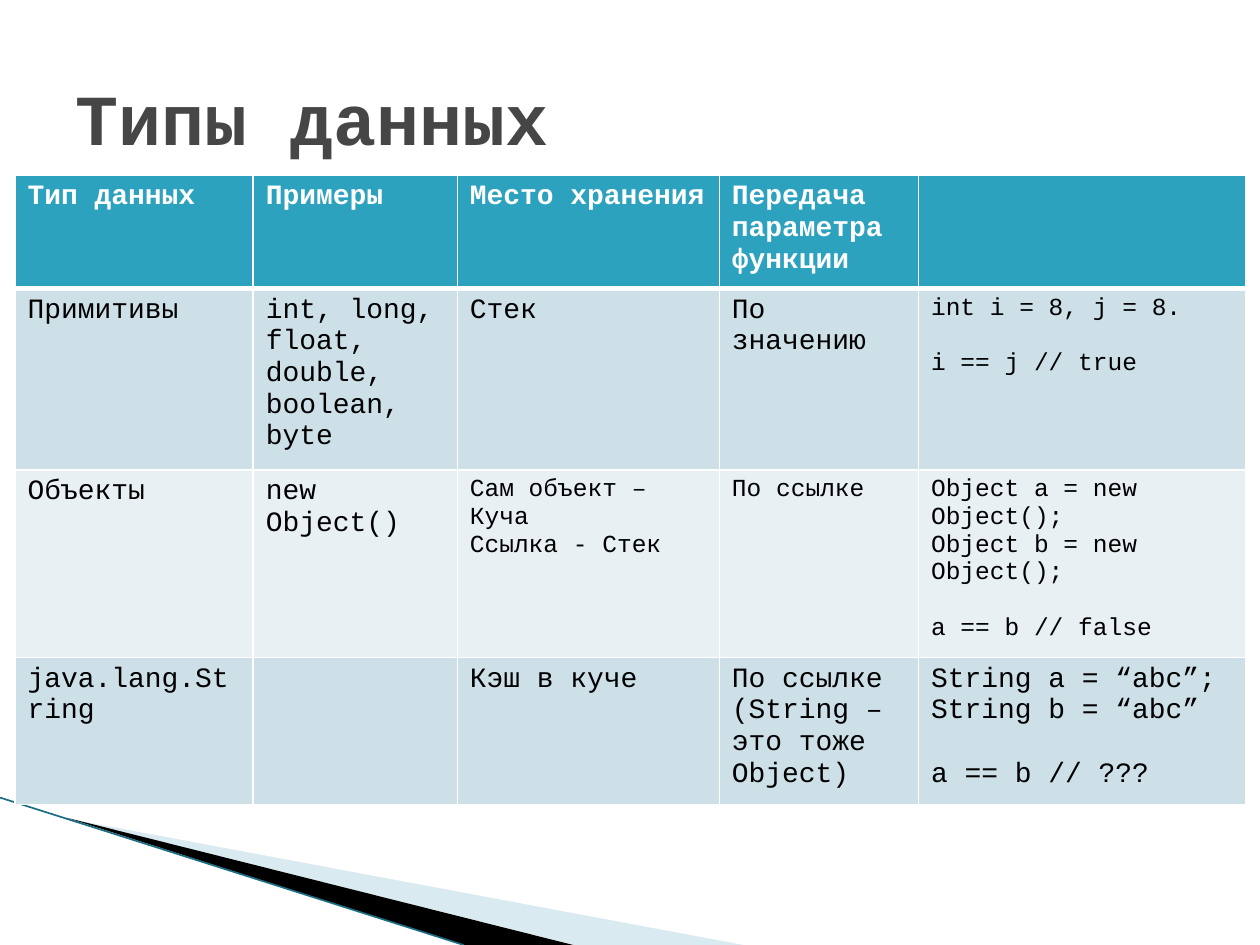
from dataclasses import dataclass

from lxml import etree
from pptx import Presentation
from pptx import util as u
from pptx.dml.color import RGBColor
from pptx.enum import shapes, text
from pptx.oxml.ns import qn


@dataclass(frozen=True)
class Theme:
    font: str = "Courier New"
    title: str = "464646"
    header: str = "2DA2BF"
    bands: tuple = ("CDE0E8", "E8F0F4")
    white: str = "FFFFFF"
    black: str = "000000"
    wedge: str = "A0CBDC"
    edge: str = "1B6E82"
    title_size: int = 41
    body_size: int = 16
    small_size: int = 14


theme = Theme()
deck = Presentation()
deck.slide_width, deck.slide_height = u.Inches(10), u.Inches(7.5)
slide = deck.slides.add_slide(deck.slide_layouts[6])


def write(frame, content, size=theme.body_size, color=theme.black, bold=False):
    """Each line is a paragraph; a blank line becomes space before the next."""
    frame.word_wrap = True
    blocks = [block.split("\n") for block in content.split("\n\n")]
    paragraph = None
    for block_no, block in enumerate(blocks):
        for line_no, line in enumerate(block):
            paragraph = frame.add_paragraph() if paragraph else frame.paragraphs[0]
            if block_no and line_no == 0:
                paragraph.space_before = u.Pt(round(size * 1.13))
            run = paragraph.add_run()
            run.text = line
            run.font.name, run.font.size, run.font.bold = theme.font, u.Pt(size), bold
            run.font.color.rgb = RGBColor.from_string(color)


# Corner wedges
wedges = [
    ([(0.55, 6.5), (5.9, 7.5), (4.56, 7.5)], theme.wedge, 40),
    ([(0.53, 6.49), (4.55, 7.5), (3.68, 7.5)], theme.black, 100),
]
for corners, color, opacity in wedges:
    points = [(u.Inches(x), u.Inches(y)) for x, y in corners]
    outline = slide.shapes.build_freeform(*points[0])
    outline.add_line_segments(points[1:], close=True)
    wedge = outline.convert_to_shape()
    wedge.shadow.inherit = False
    wedge.line.fill.background()
    wedge.fill.solid()
    wedge.fill.fore_color.rgb = RGBColor.from_string(color)
    if opacity < 100:
        tint = wedge.fill._xPr.find(qn("a:solidFill"))[0]
        etree.SubElement(tint, qn("a:alpha"), val=str(opacity * 1000))

edge = slide.shapes.add_connector(
    shapes.MSO_CONNECTOR.STRAIGHT, 0, u.Inches(6.33), u.Inches(3.68), u.Inches(7.5))
edge.line.width = u.Pt(0.95)
edge.line.color.rgb = RGBColor.from_string(theme.edge)
etree.SubElement(edge._element.spPr, qn("a:effectLst"))

# Title
title = slide.shapes.add_textbox(u.Inches(0.5), u.Inches(0.3), u.Inches(9), u.Inches(1.25))
title.text_frame.vertical_anchor = text.MSO_ANCHOR.MIDDLE
write(title.text_frame, "Типы данных", size=theme.title_size, color=theme.title, bold=True)

# Table of data types
columns = [1.89, 1.62, 2.08, 1.58, 2.6]
rows = [0.84, 1.44, 1.42, 1.11]
entries = [
    ["Тип данных", "Примеры", "Место хранения", "Передача параметра функции", ""],
    ["Примитивы", "int, long, float, double, boolean, byte", "Стек", "По значению",
     "int i = 8, j = 8.\n\ni == j // true"],
    ["Объекты", "new Object()", "Сам объект – Куча\nСсылка - Стек", "По ссылке",
     "Object a = new Object();\nObject b = new Object();\n\na == b // false"],
    ["java.lang.String", "", "Кэш в куче", "По ссылке (String – это тоже Object)",
     "String a = “abc”;\nString b = “abc”\n\na == b // ???"],
]
small_cells = {(1, 4), (2, 2), (2, 3), (2, 4)}

data_types = slide.shapes.add_table(
    len(rows), len(columns), u.Inches(0.12), u.Inches(1.39),
    u.Inches(sum(columns)), u.Inches(sum(rows))).table
for column, width in zip(data_types.columns, columns):
    column.width = u.Inches(width)

for r, height in enumerate(rows):
    data_types.rows[r].height = u.Inches(height)
    is_header = r == 0
    for c, entry in enumerate(entries[r]):
        cell = data_types.cell(r, c)
        if entry:
            write(cell.text_frame, entry, bold=is_header,
                  size=theme.small_size if (r, c) in small_cells else theme.body_size,
                  color=theme.white if is_header else theme.black)

        # White borders, heavier under the header
        properties = cell._tc.get_or_add_tcPr()
        for side in "LRTB":
            points = 3 if (r, side) in {(0, "B"), (1, "T")} else 1
            border = etree.SubElement(properties, qn("a:ln" + side), w=str(u.Pt(points)))
            paint = etree.SubElement(border, qn("a:solidFill"))
            etree.SubElement(paint, qn("a:srgbClr"), val=theme.white)
        cell.fill.solid()
        cell.fill.fore_color.rgb = RGBColor.from_string(
            theme.header if is_header else theme.bands[(r - 1) % 2])

deck.save("out.pptx")
